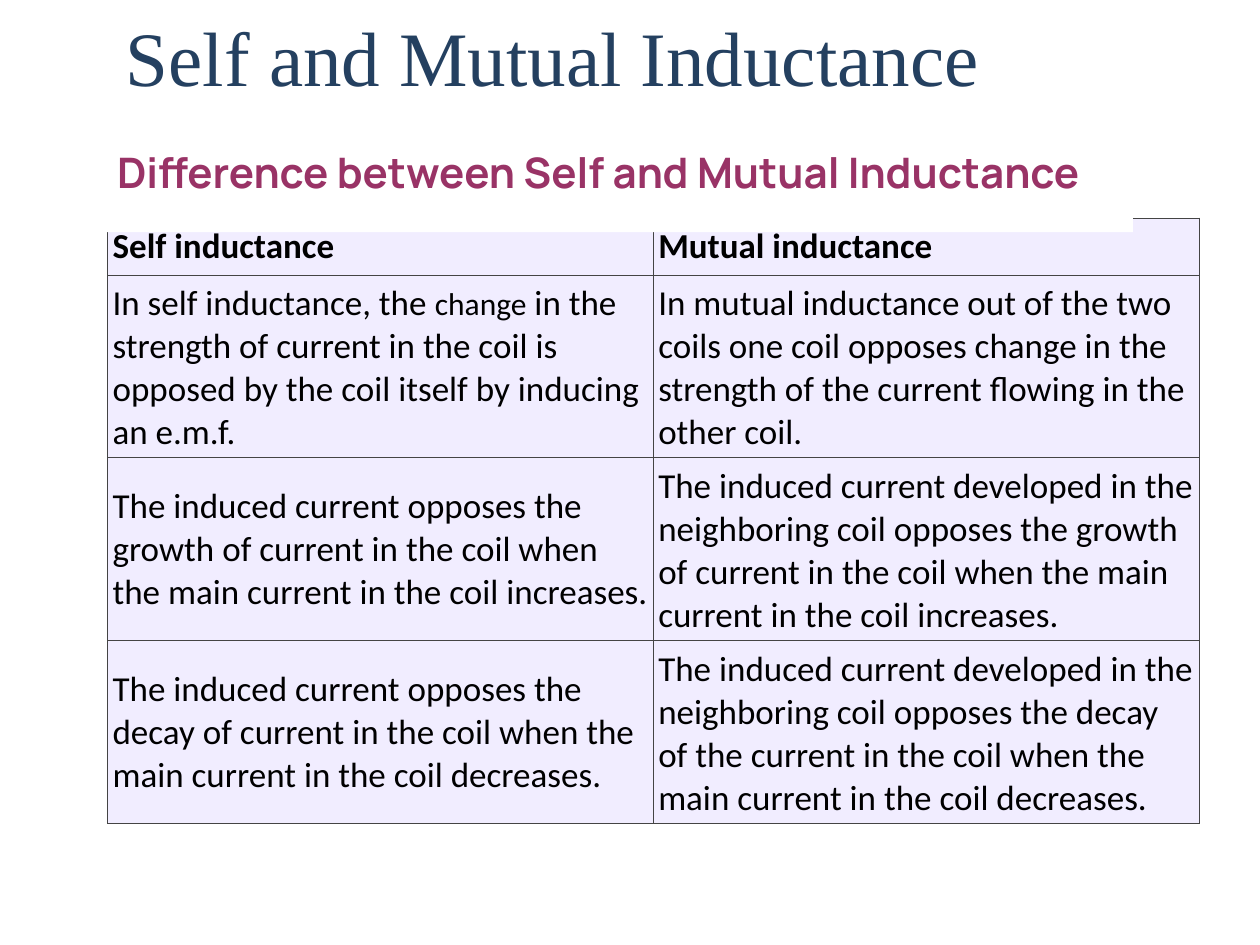
from lxml.etree import SubElement
from pptx import Presentation
from pptx.dml.color import RGBColor
from pptx.enum.shapes import MSO_SHAPE
from pptx.enum.text import MSO_ANCHOR, PP_ALIGN
from pptx.oxml.ns import qn
from pptx.util import Cm, Pt

NAVY = RGBColor(0x24, 0x40, 0x60)
PLUM = RGBColor(0x99, 0x33, 0x66)
LILAC = RGBColor(0xF1, 0xED, 0xFF)
GREY = RGBColor(0x44, 0x44, 0x44)
BLACK = RGBColor(0, 0, 0)
WHITE = RGBColor(255, 255, 255)

ROWS = [
    (["Self inductance"], ["Mutual inductance"]),
    (["In self inductance, the ", "change",
      " in the strength of current in the coil is opposed by the coil "
      "itself by inducing an e.m.f."],
     ["In mutual inductance out of the two coils one coil opposes change in "
      "the strength of the current flowing in the other coil."]),
    (["The induced current opposes the growth of current in the coil when "
      "the main current in the coil increases."],
     ["The induced current developed in the neighboring coil opposes the "
      "growth of current in the coil when the main current in the coil "
      "increases."]),
    (["The induced current opposes the decay of current in the coil when "
      "the main current in the coil decreases."],
     ["The induced current developed in the neighboring coil opposes the "
      "decay of the current in the coil when the main current in the coil "
      "decreases."]),
]


class Deck:
    def __init__(self):
        self.prs = Presentation()
        self.prs.slide_width, self.prs.slide_height = Cm(25.4), Cm(19.05)
        self.slide = self.prs.slides.add_slide(self.prs.slide_layouts[6])

    def style(self, para, name, size, color, bold=False):
        para.alignment = PP_ALIGN.LEFT
        font = para.font
        font.name, font.size, font.bold = name, Pt(size), bold
        font.color.rgb = color

    def inset(self, box, left, top, right, bottom):
        box.margin_left, box.margin_right = Cm(left), Cm(right)
        box.margin_top, box.margin_bottom = Cm(top), Cm(bottom)

    def title(self, text, *place):
        frame = self.slide.shapes.add_textbox(*map(Cm, place)).text_frame
        frame.word_wrap = True
        self.inset(frame, 0, 0, 0, 0)
        frame.text = text
        self.style(frame.paragraphs[0], "Times New Roman", 44, NAVY)

    def banner(self, text, *place):
        shape = self.slide.shapes.add_shape(
            MSO_SHAPE.RECTANGLE, *map(Cm, place))
        shape.shadow.inherit = False
        shape.fill.solid()
        shape.fill.fore_color.rgb = WHITE
        shape.line.fill.background()
        frame = shape.text_frame
        frame.word_wrap = True
        frame.vertical_anchor = MSO_ANCHOR.MIDDLE
        self.inset(frame, 0.25, 0.36, 0.25, 0.18)
        frame.text = text
        self.style(frame.paragraphs[0], "Manrope", 24, PLUM, True)

    def border(self, cell, low):
        """Draw the four edges, with the lower one of width low."""
        props = cell._tc.get_or_add_tcPr()
        for side, width in zip("LRTB", (0.3, 0.3, 0.3, low)):
            line = SubElement(props, qn("a:ln" + side), w=str(int(Pt(width))))
            fill = SubElement(line, qn("a:solidFill"))
            SubElement(fill, qn("a:srgbClr"), val=str(GREY))

    def cell(self, cell, parts, head, last):
        self.border(cell, 0.6 if last else 0.3)
        cell.fill.solid()
        cell.fill.fore_color.rgb = LILAC
        cell.vertical_anchor = MSO_ANCHOR.MIDDLE
        self.inset(cell, 0.1, 0.15, 0.1, 0.15)
        para = cell.text_frame.paragraphs[0]
        self.style(para, "Calibri", 20, BLACK, head)
        for part in parts:
            run = para.add_run()
            run.text = part
            if part == "change":
                run.font.size = Pt(18)

    def table(self, rows, highs, wide, left, top):
        table = self.slide.shapes.add_table(
            len(rows), len(rows[0]), Cm(left), Cm(top),
            Cm(wide * len(rows[0])), Cm(sum(highs))).table
        for col in table.columns:
            col.width = Cm(wide)
        for r, (row, high) in enumerate(zip(rows, highs)):
            table.rows[r].height = Cm(high)
            for c, parts in enumerate(row):
                self.cell(table.cell(r, c), parts, r == 0, r == len(rows) - 1)


def main():
    deck = Deck()
    deck.title("Self and Mutual Inductance", 2.54, 0.2, 21.62, 1.88)
    deck.table(ROWS, (0.76, 2.6, 3.5, 3.5), 11, 2.17, 4.39)
    deck.banner("Difference between Self and Mutual Inductance",
                2.11, 2.08, 20.73, 2.6)
    deck.prs.save("out.pptx")


if __name__ == "__main__":
    main()
